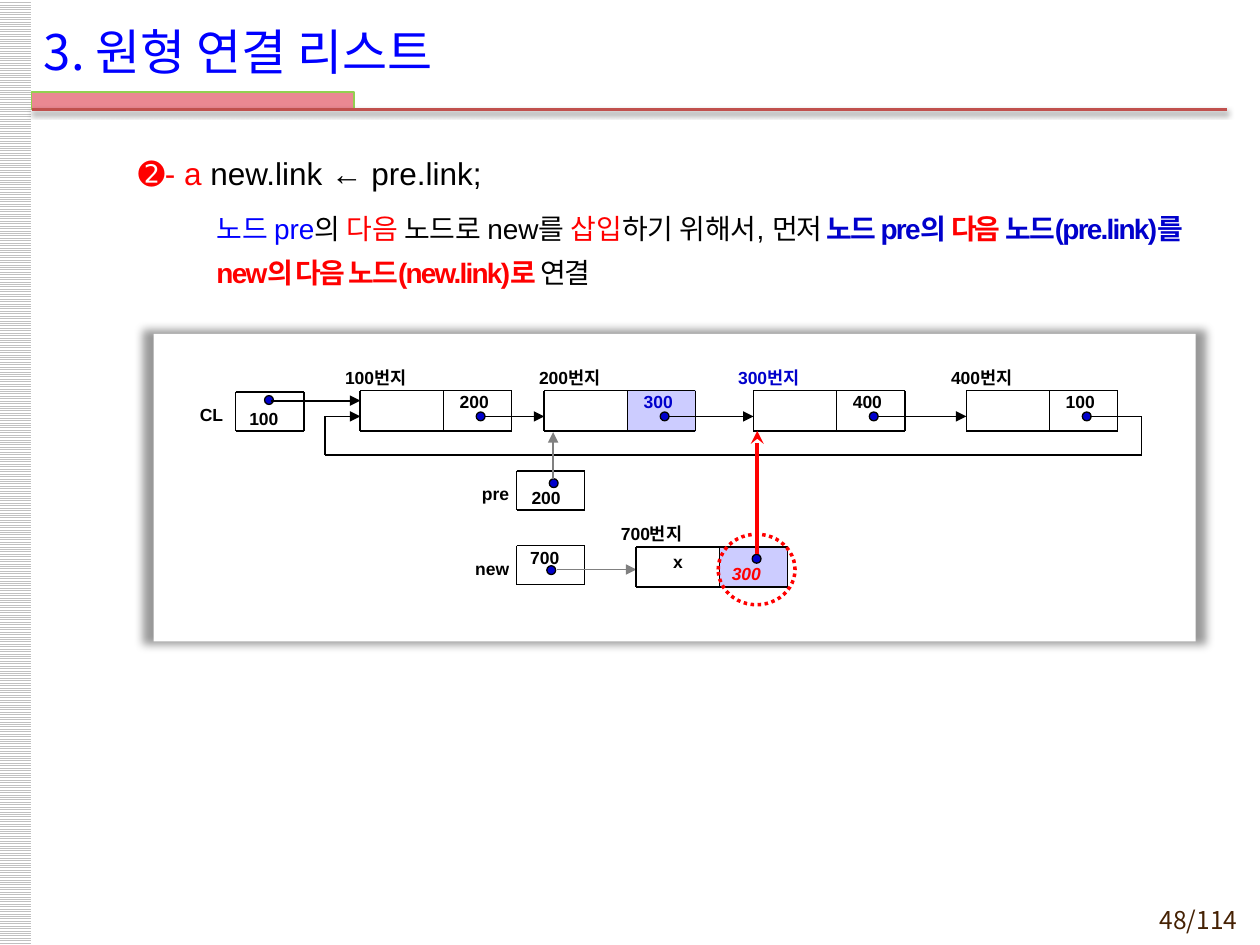
from lxml import etree
from pptx import Presentation
from pptx.dml.color import RGBColor
from pptx.enum.dml import MSO_LINE, MSO_PATTERN
from pptx.enum.shapes import MSO_CONNECTOR, MSO_SHAPE
from pptx.enum.text import MSO_ANCHOR, PP_ALIGN
from pptx.oxml.ns import qn
from pptx.util import Inches, Pt

RECT, ELLIPSE = MSO_SHAPE.RECTANGLE, MSO_SHAPE.OVAL
STRAIGHT = MSO_CONNECTOR.STRAIGHT
LEFT, CENTER, RIGHT = PP_ALIGN.LEFT, PP_ALIGN.CENTER, PP_ALIGN.RIGHT
TOP, MIDDLE = MSO_ANCHOR.TOP, MSO_ANCHOR.MIDDLE
LATIN, KOREAN = "Arial", "Noto Sans CJK KR"
BLACK, WHITE, GRAY = "000000", "FFFFFF", "808080"
RED, BLUE, NAVY, LILAC = "FF0000", "0000FF", "0000CC", "CCCCFF"
NODE_W, LINK_X, NODE_H = 1.2, 0.66, 0.32
POINTER_W, POINTER_H = 0.54, 0.31
DOT = 0.07


def color(value):
    return RGBColor.from_string(value)


def add_shadow(shape, alpha, blur, distance=0, direction=0, scale=100):
    effects = shape._element.spPr.find(qn("a:effectLst"))
    shadow = etree.SubElement(
        effects, qn("a:outerShdw"), blurRad=str(Pt(blur)), dist=str(Pt(distance)),
        dir=str(direction * 60000), sx=str(scale * 1000), sy=str(scale * 1000),
        algn="ctr", rotWithShape="0")
    tint = etree.SubElement(shadow, qn("a:srgbClr"), val=BLACK)
    etree.SubElement(tint, qn("a:alpha"), val=str(alpha * 1000))


def add_shape(page, kind, x, y, w, h, fill=None, line=None, weight=0.75):
    shape = page.shapes.add_shape(kind, Inches(x), Inches(y), Inches(w), Inches(h))
    shape.shadow.inherit = False
    if fill:
        shape.fill.solid()
        shape.fill.fore_color.rgb = color(fill)
    else:
        shape.fill.background()
    if line:
        shape.line.color.rgb = color(line)
        shape.line.width = Pt(weight)
    else:
        shape.line.fill.background()
    return shape


def add_line(page, x1, y1, x2, y2, weight=1, tint=BLACK, arrow=None):
    line = page.shapes.add_connector(
        STRAIGHT, Inches(x1), Inches(y1), Inches(x2), Inches(y2))
    line.line.color.rgb = color(tint)
    line.line.width = Pt(weight)
    if arrow:
        etree.SubElement(line.line._get_or_add_ln(), qn("a:tailEnd"), type=arrow)
    etree.SubElement(line._element.spPr, qn("a:effectLst"))
    return line


def style(font, size, name, tint, bold=False, italic=False):
    font.size, font.name = Pt(size), name
    font.bold, font.italic = bold, italic
    font.color.rgb = color(tint)


def add_text(page, x, y, w, h, text, size=10, name=LATIN, tint=BLACK,
             bold=True, italic=False, align=LEFT, anchor=MIDDLE, insets=None):
    box = page.shapes.add_textbox(Inches(x), Inches(y), Inches(w), Inches(h))
    frame = box.text_frame
    frame.word_wrap = True
    frame.vertical_anchor = anchor
    if insets:
        (frame.margin_left, frame.margin_top,
         frame.margin_right, frame.margin_bottom) = map(Inches, insets)
    para = frame.paragraphs[0]
    para.text, para.alignment = text, align
    style(para.font, size, name, tint, bold, italic)
    return box


def draw_template(page, title, number):
    # Striped band on the left edge
    band = add_shape(page, RECT, -0.01, 0, 0.26, 7.5)
    band.fill.patterned()
    band.fill.pattern = MSO_PATTERN.LIGHT_HORIZONTAL
    band.fill.fore_color.rgb = color("C0C0C0")
    band.fill.back_color.rgb = color(WHITE)
    # Title, its rule and the page number
    add_shape(page, RECT, 0.25, 0.73, 2.56, 0.14, "EA8892", "92D050")
    rule = add_line(page, 0.25, 0.87, 9.74, 0.87, 2, "C0504D")
    add_shadow(rule, 38, 3.1, 1.6, 90)
    add_text(page, 0.25, 0.09, 8.27, 0.63, title, 28, KOREAN, BLUE, bold=False)
    add_text(page, 8.86, 7.13, 1.06, 0.29, number, 14, KOREAN, "452103",
             bold=False, align=RIGHT, anchor=TOP)


def draw_explanation(page, x, y, w, h):
    box = page.shapes.add_textbox(Inches(x), Inches(y), Inches(w), Inches(h))
    frame = box.text_frame
    frame.word_wrap = True
    # Each span: text, colour, bold, tightened by one point
    step = [("➋- a ", RED, False, False), ("new.link ← pre.link;", BLACK, False, False)]
    detail = [
        ("노드 pre", BLUE, False, False), ("의 ", BLACK, False, False),
        ("다음", RED, False, False), (" 노드로 new를 ", BLACK, False, False),
        ("삽입", RED, False, False), ("하기 위해서, ", BLACK, False, False),
        ("먼저 ", BLACK, False, True), ("노드 pre의 ", NAVY, True, True),
        ("다음", RED, True, True), (" 노드(pre.link)를 ", NAVY, True, True),
        ("new의 다음 노드(new.link)로 ", RED, True, True), ("연결", BLACK, False, True)]
    rows = [(step, 18, 0.75, 1.5, 0), (detail, 16, 1.37, 1.3, 3)]
    for index, (spans, size, indent, spacing, before) in enumerate(rows):
        para = frame.add_paragraph() if index else frame.paragraphs[0]
        para._p.get_or_add_pPr().set("marL", str(Inches(indent)))
        para.line_spacing = spacing
        para.space_before, para.space_after = Pt(before), Pt(3)
        for text, tint, bold, tight in spans:
            span = para.add_run()
            span.text = text
            style(span.font, size, LATIN, tint, bold)
            if tight:
                span._r.get_or_add_rPr().set("spc", "-100")


def draw_frame(page, x, y, w, h, columns):
    for row_y in (y, y + h):
        add_line(page, x, row_y, x + w, row_y)
    for column in columns:
        add_line(page, x + column, y, x + column, y + h)


def draw_dot(page, x, y):
    add_shape(page, ELLIPSE, x, y, DOT, DOT, NAVY, BLACK)


def draw_node(page, x, y, address, link, tint=BLACK, marked=False, label_dx=-0.22):
    if marked:
        add_shape(page, RECT, x + LINK_X, y, NODE_W - LINK_X, NODE_H, LILAC, LILAC)
    draw_frame(page, x, y, NODE_W, NODE_H, (0, LINK_X, NODE_W))
    add_text(page, x + label_dx, y - 0.18, 0.87, 0.15, address, tint=tint)
    if link:
        add_text(page, x + 0.69, y + 0.01, 0.51, 0.15, link,
                 tint=NAVY if marked else BLACK)
        draw_dot(page, x + 0.92, y + 0.17)


def draw_pointer(page, x, y, name, value, value_at, dot_at, gap=0.06):
    add_text(page, x - gap - 0.4, y + 0.05, 0.4, 0.31, name,
             align=RIGHT, insets=(0, 0, 0, 0.05))
    draw_frame(page, x, y, POINTER_W, POINTER_H, (0, POINTER_W))
    add_text(page, x + value_at[0], y + value_at[1], 0.51, 0.15, value)
    draw_dot(page, x + dot_at[0], y + dot_at[1])


def draw_list(page, x, y, w, h):
    panel = add_shape(page, RECT, x, y, w, h, WHITE)
    add_shadow(panel, 40, 5, scale=102)
    row = y + 0.45
    middle = row + 0.205

    # Linked nodes in the top row
    starts = [x + offset for offset in (1.64, 3.1, 4.76, 6.45)]
    draw_node(page, starts[0], row, "100번지", "200")
    draw_node(page, starts[1], row, "200번지", "300", marked=True, label_dx=-0.14)
    draw_node(page, starts[2], row, "300번지", "400", tint=NAVY)
    draw_node(page, starts[3], row, "400번지", "100")
    for start, following in zip(starts, starts[1:]):
        add_line(page, start + 0.99, middle, following, middle, 0.75, arrow="triangle")

    # Link from the last node back to the first
    back, right, low = x + 1.36, x + 7.84, y + 0.96
    add_line(page, starts[3] + 0.98, middle, right, middle)
    add_line(page, right, middle, right, low)
    add_line(page, back, low, right, low)
    add_line(page, back, middle, back, low)
    add_line(page, back, middle, starts[0], middle, arrow="triangle")

    # List head and the two working pointers
    draw_pointer(page, x + 0.65, y + 0.46, "CL", "100", (0.01, 0.14), (0.23, 0.03), 0.1)
    add_line(page, x + 0.93, y + 0.53, starts[0], y + 0.53, arrow="triangle")
    draw_pointer(page, x + 2.88, y + 1.09, "pre", "200", (0.02, 0.13), (0.26, 0.06))
    add_line(page, x + 3.17, y + 1.15, x + 3.17, y + 0.78, 0.75, GRAY, "triangle")
    draw_pointer(page, x + 2.88, y + 1.68, "new", "700", (0.01, 0.02), (0.24, 0.16))
    add_line(page, x + 3.2, y + 1.87, x + 3.83, y + 1.87, 0.75, GRAY, "triangle")

    # New node with its link to node 300
    new_x, new_y = x + 3.83, y + 1.69
    draw_node(page, new_x, new_y, "700번지", None, marked=True)
    add_text(page, new_x, new_y, LINK_X, 0.19, "x", align=CENTER, anchor=TOP,
             insets=(0.08, 0.03, 0.08, 0.03))
    draw_dot(page, new_x + 0.92, new_y + 0.06)
    add_line(page, new_x + 0.96, new_y + 0.06, new_x + 0.96, row + NODE_H,
             2.5, RED, "stealth")
    add_text(page, new_x + LINK_X, new_y + 0.11, 0.54, 0.21, "300", tint=RED, italic=True)
    ring = add_shape(page, ELLIPSE, new_x + 0.65, new_y - 0.1, 0.61, 0.56,
                     line=RED, weight=2)
    ring.line.dash_style = MSO_LINE.ROUND_DOT


def main():
    deck = Presentation()
    deck.slide_width, deck.slide_height = Inches(10), Inches(7.5)
    page = deck.slides.add_slide(deck.slide_layouts[6])
    draw_template(page, "3. 원형 연결 리스트", "48/114")
    draw_explanation(page, 0.25, 1.02, 9.5, 6.25)
    draw_list(page, 1.22, 2.65, 8.27, 2.44)
    deck.save("out.pptx")


if __name__ == "__main__":
    main()
